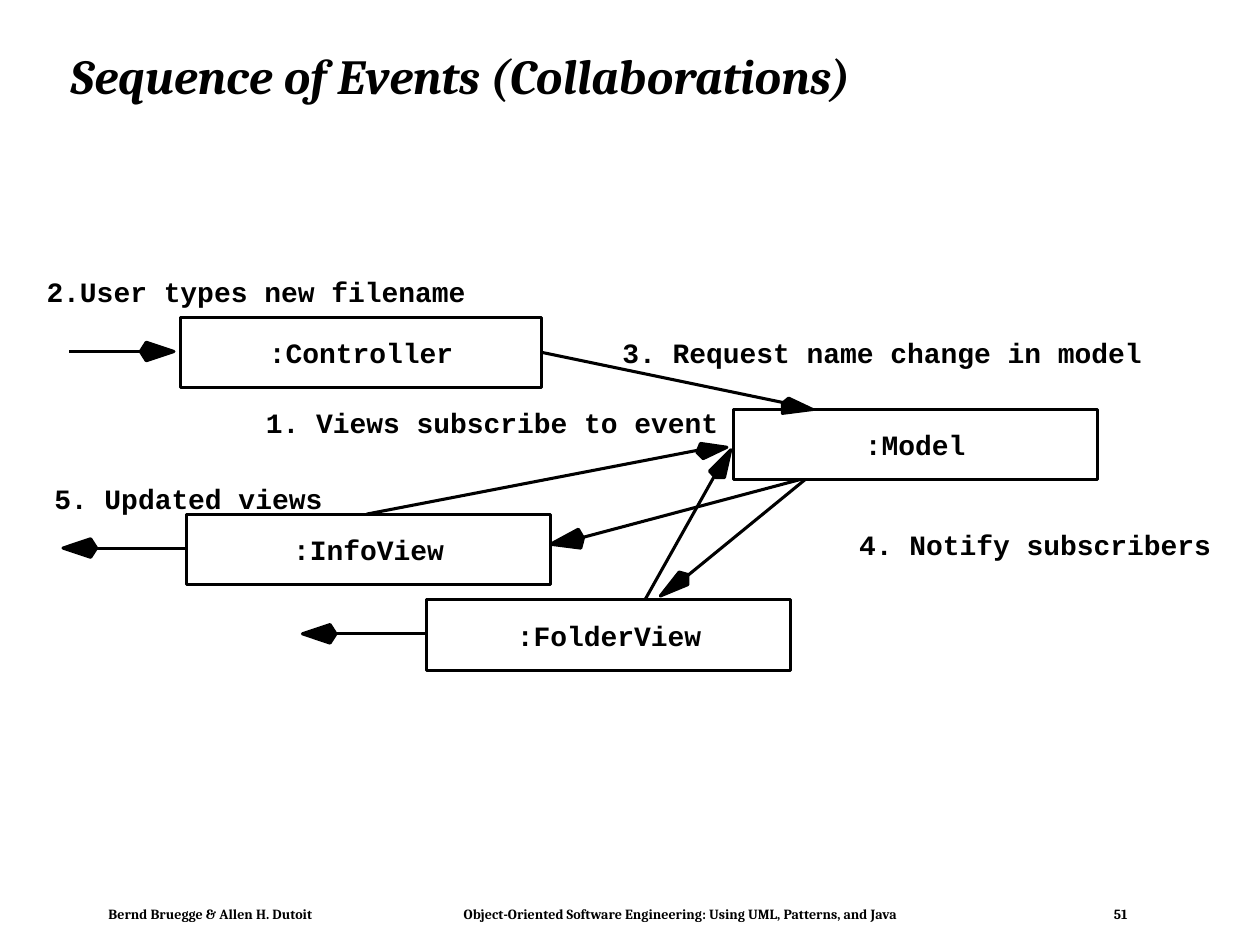
from pptx import Presentation
from pptx.dml.color import RGBColor
from pptx.enum.shapes import MSO_CONNECTOR as Connector, MSO_SHAPE as Preset
from pptx.enum.text import MSO_ANCHOR as Anchor, PP_ALIGN as Align
from pptx.oxml.ns import qn
from pptx.util import Pt
from lxml.etree import SubElement

BLACK, WHITE = "000000", "FFFFFF"
LINE_WIDTH = 1.75
LABEL_FONT = {"font": "Courier New", "size": 16}

TITLE = "Sequence of Events (Collaborations)"
FOOTER = ["Bernd Bruegge & Allen H. Dutoit",
          "Object-Oriented Software Engineering: Using UML, Patterns, and Java",
          "51"]
FOOTER_TABS = [203, 574.5]

BOX_HEIGHT = 40.3
OBJECTS = [
    (":Controller", 103, 181.4, 206.6),
    (":InfoView", 106.6, 293.8, 208),
    (":Model", 419, 234, 208),
    (":FolderView", 244, 342.7, 208),
]

LABELS = [
    ("2.User types new filename", 26.6, 157, 240),
    ("1. Views subscribe to event", 152, 231.8, 259.2),
    ("3. Request name change in model", 355.7, 191.5, 297.6),
    ("4. Notify subscribers", 491, 301.7, 201.6),
    ("5. Updated views", 31, 275, 153.6),
]


def level_head(tip_x, y, direction):
    """Return the outline of a horizontal arrowhead; direction is 1 or -1."""
    back, shoulder = tip_x - 19.2 * direction, tip_x - 15.8 * direction
    return [(back, y), (shoulder, y - 5.3), (tip_x, y), (shoulder, y + 5.3)]


MESSAGES = [
    ((39.6, 200.9), (82, 200.9), level_head(99.4, 200.9, 1)),
    ((106.6, 313.2), (54, 313.2), level_head(36, 313.2, -1)),
    ((242.6, 362.2), (190, 362.2), level_head(172.8, 362.2, -1)),
    ((307.4, 200.9), (449.3, 230.4),
     [(447.1, 230.4), (450.7, 227.5), (464.4, 234), (447.1, 236.2)]),
    ((461.5, 272.9), (331.9, 307.4),
     [(333.4, 307.4), (331.9, 313.2), (314.6, 311), (330.5, 302.4)]),
    ((461.5, 272.9), (391, 330.5),
     [(393.1, 328.3), (393.1, 334.1), (377.3, 340.6), (388.1, 326.9)]),
    ((368.6, 342.7), (409, 270.7),
     [(409, 272.9), (405.4, 269.3), (417.6, 257), (414, 272.9)]),
    ((209.5, 293.8), (400.3, 257),
     [(398.2, 258.5), (400.3, 253.4), (415.4, 255.6), (401.8, 262.1)]),
]


def color(value):
    """Convert a hex string to a colour."""
    return RGBColor.from_string(value)


def write(shape, text, font, size, italic=False, align=Align.LEFT,
          anchor=Anchor.TOP, inset=(0, 0), wrap=False, spacing=None):
    """Write bold text into a shape and return its paragraph."""
    frame = shape.text_frame
    frame.word_wrap = wrap
    frame.vertical_anchor = anchor
    frame.margin_left = frame.margin_right = Pt(inset[0])
    frame.margin_top = frame.margin_bottom = Pt(inset[1])
    para = frame.paragraphs[0]
    para.alignment = align
    if spacing:
        para.line_spacing = spacing
    span = para.add_run()
    span.text = text
    span.font.name = font
    span.font.size = Pt(size)
    span.font.bold = True
    span.font.italic = italic
    span.font.color.rgb = color(BLACK)
    return para


def add_text(page, text, left, top, width, height, **style):
    """Add a text box and return its paragraph."""
    box = page.shapes.add_textbox(Pt(left), Pt(top), Pt(width), Pt(height))
    return write(box, text, **style)


def outline(shape, fill):
    """Give a shape a flat fill and a black outline."""
    shape.shadow.inherit = False
    shape.fill.solid()
    shape.fill.fore_color.rgb = color(fill)
    shape.line.color.rgb = color(BLACK)
    shape.line.width = Pt(LINE_WIDTH)


def add_line(page, start, end):
    """Add a straight black line."""
    points = [Pt(value) for value in (*start, *end)]
    line = page.shapes.add_connector(Connector.STRAIGHT, *points)
    line.line.color.rgb = color(BLACK)
    line.line.width = Pt(LINE_WIDTH)
    SubElement(line._element.spPr, qn("a:effectLst"))


def add_head(page, corners):
    """Add a solid arrowhead with the given corners."""
    points = [(Pt(x), Pt(y)) for x, y in corners]
    builder = page.shapes.build_freeform(*points[0])
    builder.add_line_segments(points[1:], close=True)
    outline(builder.convert_to_shape(), BLACK)


def add_object(page, name, left, top, width):
    """Add a named object box."""
    box = page.shapes.add_shape(Preset.RECTANGLE, Pt(left), Pt(top),
                                Pt(width), Pt(BOX_HEIGHT))
    outline(box, WHITE)
    write(box, name, align=Align.CENTER, anchor=Anchor.MIDDLE, **LABEL_FONT)


def add_footer(page):
    """Add the footer with its parts set on tab stops."""
    para = add_text(page, "\t".join(FOOTER), 56.2, 514.8, 595.4, 15.1,
                    font="Cambria", size=8, inset=(5.8, 2.9), wrap=True)
    stops = SubElement(para._p.get_or_add_pPr(), qn("a:tabLst"))
    for position in FOOTER_TABS:
        SubElement(stops, qn("a:tab"), pos=str(Pt(position)), algn="l")


def build():
    """Build the slide and save it."""
    deck = Presentation()
    deck.slide_width, deck.slide_height = Pt(720), Pt(540)
    page = deck.slides.add_slide(deck.slide_layouts[6])
    add_footer(page)
    add_text(page, TITLE, 33.1, 17.3, 642.2, 55.4, font="Cambria", size=28,
             italic=True, anchor=Anchor.MIDDLE, inset=(7.2, 3.6), wrap=True,
             spacing=0.9)
    for start, end, _ in MESSAGES:
        add_line(page, start, end)
    for item in OBJECTS:
        add_object(page, *item)
    for _, _, head in MESSAGES:
        add_head(page, head)
    for text, left, top, width in LABELS:
        add_text(page, text, left, top, width, 19.4, **LABEL_FONT)
    deck.save("out.pptx")


build()
